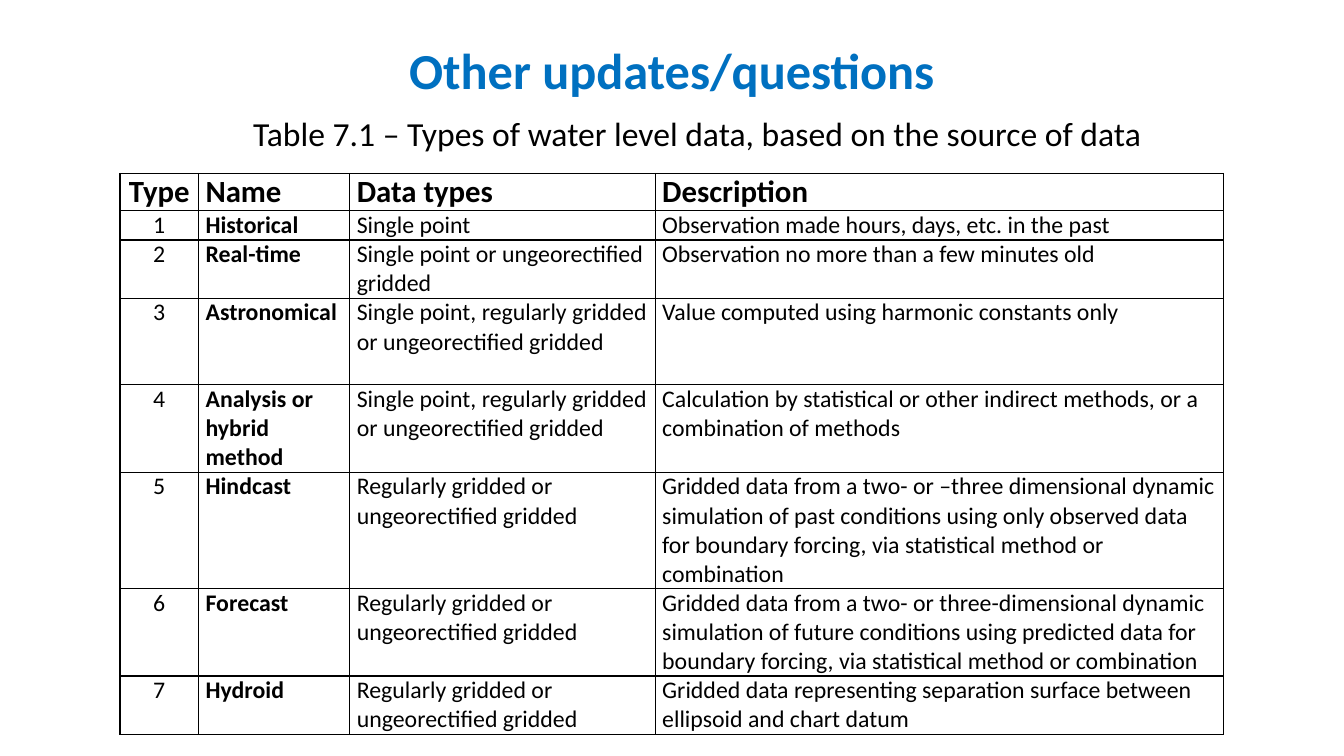
from pptx import Presentation
from pptx.dml.color import RGBColor
from pptx.enum.text import MSO_ANCHOR, MSO_AUTO_SIZE, PP_ALIGN
from pptx.oxml import parse_xml
from pptx.oxml.ns import nsdecls
from pptx.util import Inches, Pt

BLUE = RGBColor(0x00, 0x70, 0xC0)
BLACK = RGBColor(0x00, 0x00, 0x00)
WHITE = RGBColor(0xFF, 0xFF, 0xFF)

GRID_COLUMNS, GRID_ROWS = 160, 90
COLUMN_WIDTHS = (9.36, 18, 36.36, 67.68)
HEADER_HEIGHT, LINE_HEIGHT = 4.4, 3.44

HEADINGS = ("Type", "Name", "Data types", "Description")
ANY_GRID = "Single point, regularly gridded or ungeorectified gridded"
REGULAR_GRID = "Regularly gridded or ungeorectified gridded"
WATER_LEVELS = (
    (1, "Historical", "Single point", "Observation made hours, days, etc. in the past"),
    (2, "Real-time", "Single point or ungeorectified gridded",
     "Observation no more than a few minutes old"),
    (3, "Astronomical", ANY_GRID, "Value computed using harmonic constants only"),
    (3, "Analysis or hybrid method", ANY_GRID,
     "Calculation by statistical or other indirect methods, or a combination of methods"),
    (4, "Hindcast", REGULAR_GRID,
     "Gridded data from a two- or –three dimensional dynamic simulation of past conditions "
     "using only observed data for boundary forcing, via statistical method or combination"),
    (3, "Forecast", REGULAR_GRID,
     "Gridded data from a two- or three-dimensional dynamic simulation of future conditions "
     "using predicted data for boundary forcing, via statistical method or combination"),
    (2, "Hydroid", REGULAR_GRID,
     "Gridded data representing separation surface between ellipsoid and chart datum"),
)


def write(frame, text, size=17, color=BLACK, bold=False, align=PP_ALIGN.LEFT, indent=0):
    frame.word_wrap = True
    para = frame.paragraphs[0]
    para.alignment = align
    if indent:
        properties = para._p.get_or_add_pPr()
        properties.set("marL", str(indent))
        properties.set("indent", "0")
    span = para.add_run()
    span.text = text
    span.font.name = "Calibri"
    span.font.size = Pt(size)
    span.font.bold = bold
    span.font.color.rgb = color


class Page:
    def __init__(self, deck):
        self.column = deck.slide_width / GRID_COLUMNS
        self.row = deck.slide_height / GRID_ROWS
        self.slide = deck.slides.add_slide(deck.slide_layouts[5])

    def across(self, columns):
        return round(columns * self.column)

    def down(self, rows):
        return round(rows * self.row)

    def area(self, left, top, width, height):
        return self.across(left), self.down(top), self.across(width), self.down(height)

    def title(self, text, left, top, width, height):
        box = self.slide.shapes.title
        box.left, box.top, box.width, box.height = self.area(left, top, width, height)
        box.text_frame.auto_size = MSO_AUTO_SIZE.NONE
        box.text_frame.vertical_anchor = MSO_ANCHOR.TOP
        write(box.text_frame, text, size=36, color=BLUE, bold=True, align=PP_ALIGN.CENTER)

    def caption(self, text, left, top, width, height, indent):
        box = self.slide.shapes.add_textbox(*self.area(left, top, width, height))
        write(box.text_frame, text, size=24, align=PP_ALIGN.CENTER, indent=self.across(indent))

    def cell(self, cell, text, **style):
        cell.margin_left = cell.margin_right = Inches(0.07)
        cell.margin_top = cell.margin_bottom = 0
        properties = cell._tc.get_or_add_tcPr()
        for side in ("lnL", "lnR", "lnT", "lnB"):
            properties.append(parse_xml(
                f'<a:{side} {nsdecls("a")} w="{Pt(1)}"><a:solidFill>'
                f'<a:srgbClr val="{BLACK}"/></a:solidFill></a:{side}>'))
        cell.fill.solid()
        cell.fill.fore_color.rgb = WHITE
        write(cell.text_frame, text, **style)

    def table(self, headings, records, left, top):
        heights = [HEADER_HEIGHT] + [lines * LINE_HEIGHT for lines, *_ in records]
        area = self.area(left, top, sum(COLUMN_WIDTHS), sum(heights))
        table = self.slide.shapes.add_table(len(heights), len(headings), *area).table
        table.first_row = table.horz_banding = False
        for column, width in zip(table.columns, COLUMN_WIDTHS):
            column.width = self.across(width)
        for row, height in zip(table.rows, heights):
            row.height = self.down(height)
        rows = [headings] + [(str(number), *texts)
                             for number, (_, *texts) in enumerate(records, 1)]
        for r, texts in enumerate(rows):
            for c, text in enumerate(texts):
                self.cell(table.cell(r, c), text, size=17 if r else 22,
                          bold=r == 0 or c == 1,
                          align=PP_ALIGN.LEFT if c else PP_ALIGN.CENTER)


def main():
    deck = Presentation()
    deck.slide_width, deck.slide_height = Inches(13.33), Inches(7.5)
    page = Page(deck)
    page.title("Other updates/questions", 0, 4.08, GRID_COLUMNS, 16.56)
    page.table(HEADINGS, WATER_LEVELS, 14.28, 20.64)
    page.caption("Table 7.1 – Types of water level data, based on the source of data",
                 0, 12.84, GRID_COLUMNS, 6, indent=6)
    deck.save("out.pptx")


if __name__ == "__main__":
    main()
